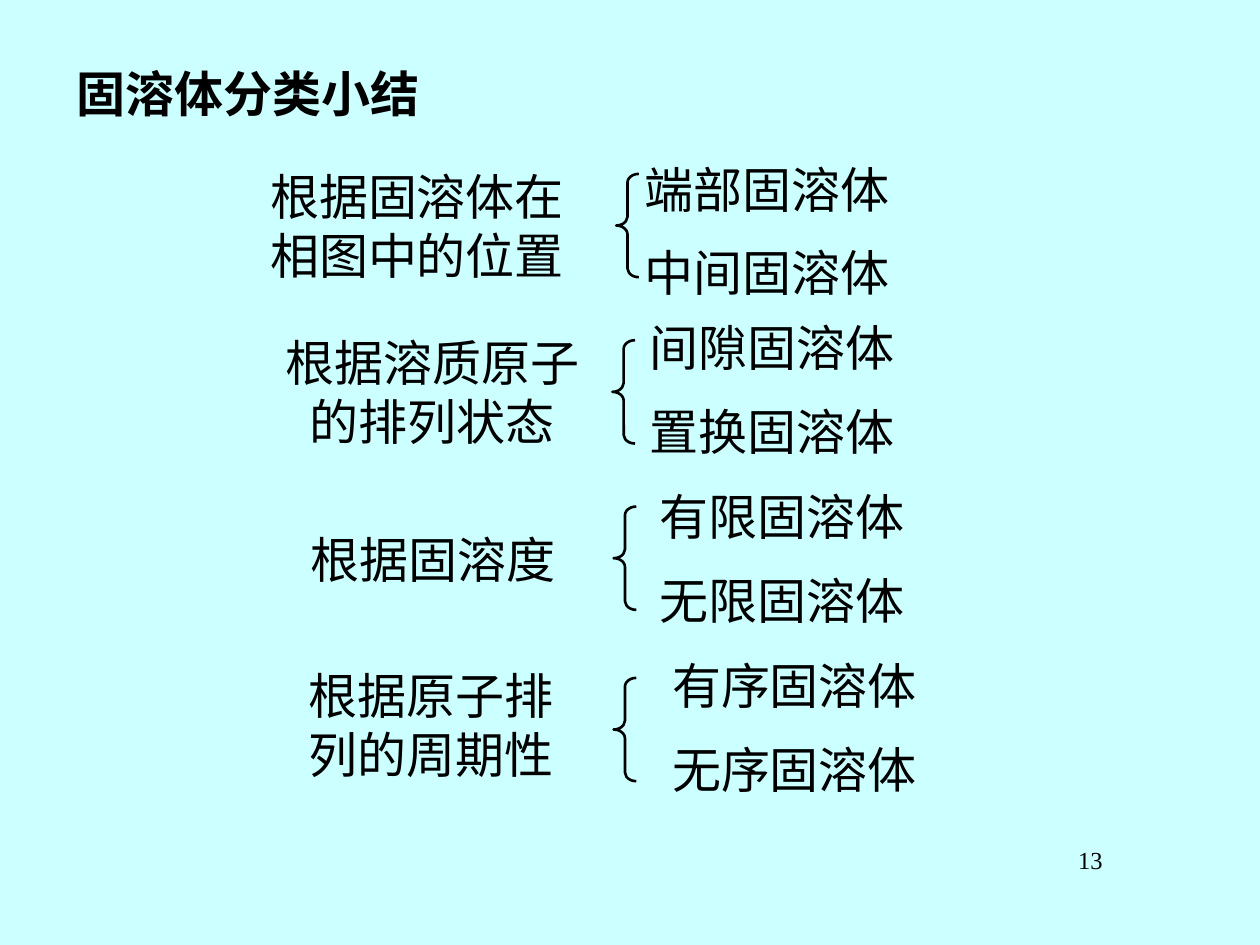
"""Build the summary slide on how solid solutions are classified."""
from pptx import Presentation
from pptx.dml.color import RGBColor
from pptx.enum.shapes import MSO_SHAPE
from pptx.enum.text import MSO_ANCHOR, MSO_AUTO_SIZE, PP_ALIGN
from pptx.oxml.ns import qn
from pptx.util import Inches, Pt

THEME = {
    "back": RGBColor(0xCC, 0xFF, 0xFF),
    "ink": RGBColor(0, 0, 0),
    "cjk": "Noto Sans CJK SC",
    "latin": "Times New Roman",
    "text": Pt(28),
    "number": Pt(14),
    "pitch": Pt(33.8),
    "gap": Pt(14),
    "line": Pt(1.5),
}
TITLE = ("固溶体分类小结", (0.51, 0.45, 5.67, 0.75))
NUMBER = ("13", (6.77, 6.66, 2.08, 0.5))
BRACE_SIZE = (0.18, 0.82)
GROUPS = [
    {"basis": "根据固溶体在相图中的位置", "basis_at": (1.93, 1.27, 2.76, 1.04),
     "brace_at": (4.89, 1.38),
     "kinds": ["端部固溶体", "中间固溶体"], "kinds_at": (4.85, 1.21, 2.47, 1.28)},
    {"basis": "根据溶质原子的排列状态", "basis_at": (2.09, 2.59, 2.68, 1.04),
     "brace_at": (4.86, 2.7),
     "kinds": ["间隙固溶体", "置换固溶体"], "kinds_at": (4.89, 2.47, 2.47, 1.28)},
    {"basis": "根据固溶度", "basis_at": (1.94, 4.15, 2.99, 0.57),
     "brace_at": (4.87, 4.02),
     "kinds": ["有限固溶体", "无限固溶体"], "kinds_at": (4.87, 3.81, 2.67, 1.28)},
    {"basis": "根据原子排列的周期性", "basis_at": (2.24, 5.23, 2.36, 1.04),
     "brace_at": (4.87, 5.38),
     "kinds": ["有序固溶体", "无序固溶体"], "kinds_at": (5.07, 5.15, 2.47, 1.28)},
]


def place(sp, at):
    sp.left, sp.top, sp.width, sp.height = map(Inches, at)


def write(sp, lines, at, font, align=PP_ALIGN.CENTER, size=THEME["text"],
          bold=False, pitch=THEME["pitch"]):
    place(sp, at)
    tf = sp.text_frame
    tf.word_wrap = True
    tf.auto_size = MSO_AUTO_SIZE.NONE
    tf.vertical_anchor = MSO_ANCHOR.TOP
    tf.margin_left = tf.margin_right = Inches(0.1)
    tf.margin_top = tf.margin_bottom = Inches(0.05)
    for i, line in enumerate(lines):
        p = tf.add_paragraph() if i else tf.paragraphs[0]
        p.alignment = align
        p.space_before = THEME["gap"] if i else Pt(0)
        p.space_after = Pt(0)
        p.line_spacing = pitch
        pPr = p._p.get_or_add_pPr()
        pPr.set("marL", "0")
        pPr.set("indent", "0")
        pPr.append(pPr.makeelement(qn("a:buNone"), {}))
        r = p.add_run()
        r.text = line
        r.font.name, r.font.size, r.font.bold = font, size, bold
        r.font.color.rgb = THEME["ink"]
        rPr = r._r.get_or_add_rPr()
        rPr.append(rPr.makeelement(qn("a:ea"), {"typeface": THEME["cjk"]}))


def add_brace(s, at):
    sp = s.shapes.add_shape(MSO_SHAPE.LEFT_BRACE, *map(Inches, at + BRACE_SIZE))
    sp.adjustments[0], sp.adjustments[1] = 0.383, 0.5
    sp.shadow.inherit = False
    sp.fill.background()
    sp.line.color.rgb = THEME["ink"]
    sp.line.width = THEME["line"]


def main():
    prs = Presentation()
    prs.slide_width, prs.slide_height = Inches(10), Inches(7.5)
    s = prs.slides.add_slide(prs.slide_layouts.get_by_name("Comparison"))
    s.background.fill.solid()
    s.background.fill.fore_color.rgb = THEME["back"]

    text, at = TITLE
    write(s.shapes.title, [text], at, THEME["latin"], PP_ALIGN.LEFT, bold=True)
    bodies = [sp for sp in s.placeholders if sp.placeholder_format.idx > 0]
    for body, group in zip(bodies, GROUPS):
        write(body, group["kinds"], group["kinds_at"], THEME["cjk"])
        add_brace(s, group["brace_at"])
        box = s.shapes.add_textbox(0, 0, 0, 0)
        write(box, [group["basis"]], group["basis_at"], THEME["cjk"])
    text, at = NUMBER
    write(s.shapes.add_textbox(0, 0, 0, 0), [text], at, THEME["latin"],
          PP_ALIGN.RIGHT, THEME["number"], pitch=1.0)
    prs.save("out.pptx")


if __name__ == "__main__":
    main()
